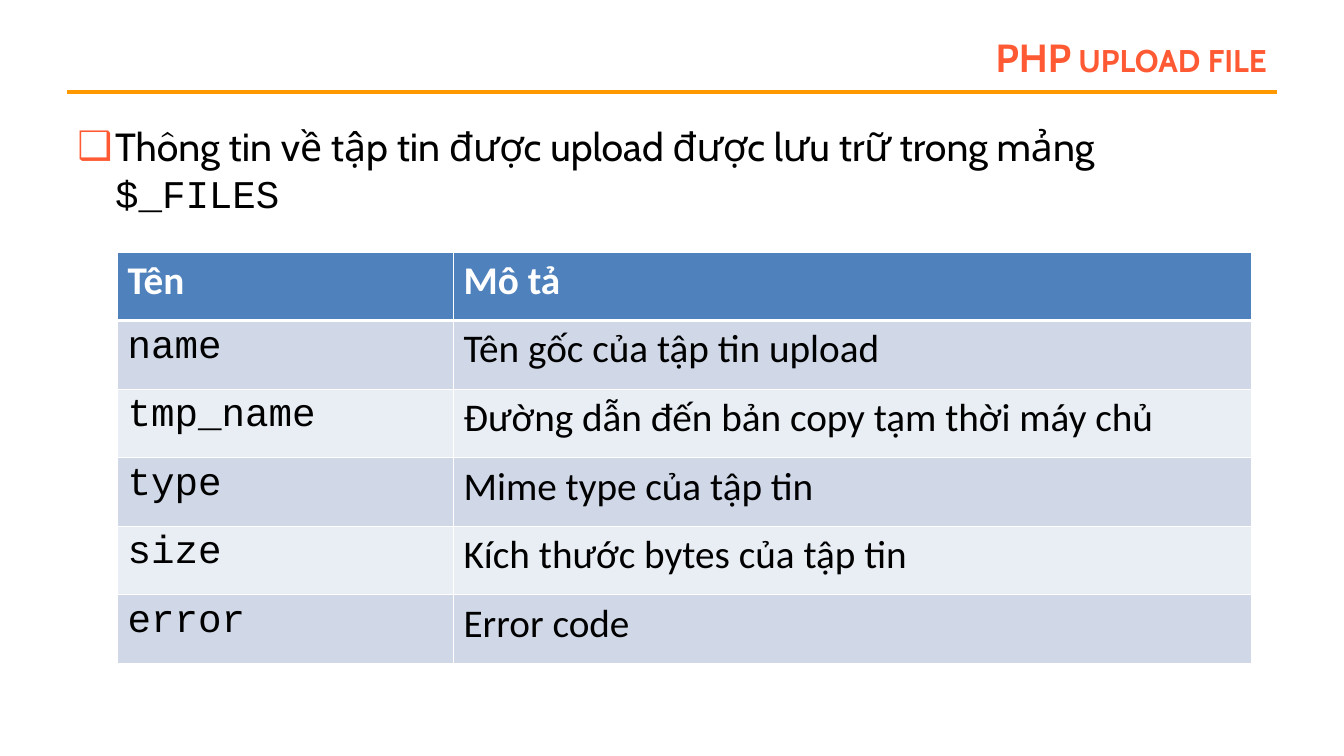
from lxml.etree import SubElement
from pptx import Presentation
from pptx.dml.color import RGBColor
from pptx.enum.shapes import MSO_CONNECTOR as Connector
from pptx.enum.text import MSO_ANCHOR as Anchor, MSO_AUTO_SIZE as AutoSize, PP_ALIGN as Align
from pptx.oxml.ns import qn
from pptx.util import Pt

COLORS = {
    "accent": "FF5A33", "rule": "FF9900", "text": "000000", "white": "FFFFFF",
    "header": "4F81BD", "odd": "D0D8E8", "even": "E9EDF4",
}
HEADING, BODY, CODE = "Cabin", "Calibri", "Courier New"

FILE_FIELDS = [
    ("Tên", "Mô tả"),
    ("name", "Tên gốc của tập tin upload"),
    ("tmp_name", "Đường dẫn đến bản copy tạm thời máy chủ"),
    ("type", "Mime type của tập tin"),
    ("size", "Kích thước bytes của tập tin"),
    ("error", "Error code"),
]


class SlideBuilder:
    def __init__(self, page, size=28):
        self.page = page
        self.size = size

    def color(self, name):
        return RGBColor.from_string(COLORS[name])

    def add_run(self, para, text, font, color="text", bold=False):
        span = para.add_run()
        span.text = text
        span.font.name = font
        span.font.size = Pt(self.size)
        span.font.bold = bold
        span.font.color.rgb = self.color(color)
        return span

    def place(self, box, left, top, width, height, anchor):
        box.left, box.top, box.width, box.height = map(Pt, (left, top, width, height))
        frame = box.text_frame
        frame.word_wrap = True
        frame.auto_size = AutoSize.NONE
        frame.vertical_anchor = anchor
        return frame.paragraphs[0]

    def rule(self, left, top, width):
        line = self.page.shapes.add_connector(
            Connector.STRAIGHT, Pt(left), Pt(top), Pt(left + width), Pt(top))
        line.line.color.rgb = self.color("rule")
        line.line.width = Pt(3)
        SubElement(line._element.spPr, qn("a:effectLst"))

    def title(self, text, *area):
        para = self.place(self.page.shapes.title, *area, Anchor.MIDDLE)
        para.alignment = Align.RIGHT
        span = self.add_run(para, text, HEADING, "accent", True)
        span.font._element.set("cap", "small")

    def bullet(self, parts, *area):
        para = self.place(self.page.placeholders[1], *area, Anchor.TOP)
        props = para._p.get_or_add_pPr()
        props.set("marL", str(Pt(27)))
        props.set("indent", str(Pt(-27)))
        bullet_color = SubElement(props, qn("a:buClr"))
        SubElement(bullet_color, qn("a:srgbClr"), val=COLORS["accent"])
        SubElement(props, qn("a:buFont"), typeface="Arial")
        SubElement(props, qn("a:buChar"), char="❑")
        for text, font in parts:
            self.add_run(para, text, font)

    def cell_borders(self, cell, widths):
        props = cell._tc.get_or_add_tcPr()
        for side, width in widths.items():
            edge = SubElement(props, qn(f"a:ln{side}"), w=str(Pt(width)))
            fill = SubElement(edge, qn("a:solidFill"))
            SubElement(fill, qn("a:srgbClr"), val=COLORS["white"])

    def table(self, rows, left, top, col_widths, row_height):
        grid = self.page.shapes.add_table(
            len(rows), len(col_widths), Pt(left), Pt(top),
            Pt(sum(col_widths)), Pt(row_height * len(rows))).table
        for column, width in zip(grid.columns, col_widths):
            column.width = Pt(width)
        for r, texts in enumerate(rows):
            grid.rows[r].height = Pt(row_height)
            header = r == 0
            fill = "header" if header else "odd" if r % 2 else "even"
            for c, text in enumerate(texts):
                cell = grid.cell(r, c)
                self.cell_borders(cell, {
                    "L": 1, "R": 1, "T": 3 if r == 1 else 1, "B": 3 if header else 1})
                cell.fill.solid()
                cell.fill.fore_color.rgb = self.color(fill)
                font = CODE if c == 0 and not header else BODY
                self.add_run(cell.text_frame.paragraphs[0], text, font,
                             "white" if header else "text", header)


def main():
    deck = Presentation()
    deck.slide_width, deck.slide_height = Pt(960), Pt(540)
    builder = SlideBuilder(deck.slides.add_slide(deck.slide_layouts[1]))

    # Heading with its rule
    builder.rule(48, 66, 864)
    builder.title("PHP upload file", 216, 21.6, 696, 38.4)

    # Introductory point
    builder.bullet([
        ("Thông tin về tập tin được upload được lưu trữ trong mảng ", HEADING),
        ("$_FILES", CODE),
    ], 48, 84, 864, 414)

    # Fields of the uploaded file
    builder.table(FILE_FIELDS, 84, 180, (240, 570), 49)

    deck.save("out.pptx")


if __name__ == "__main__":
    main()
